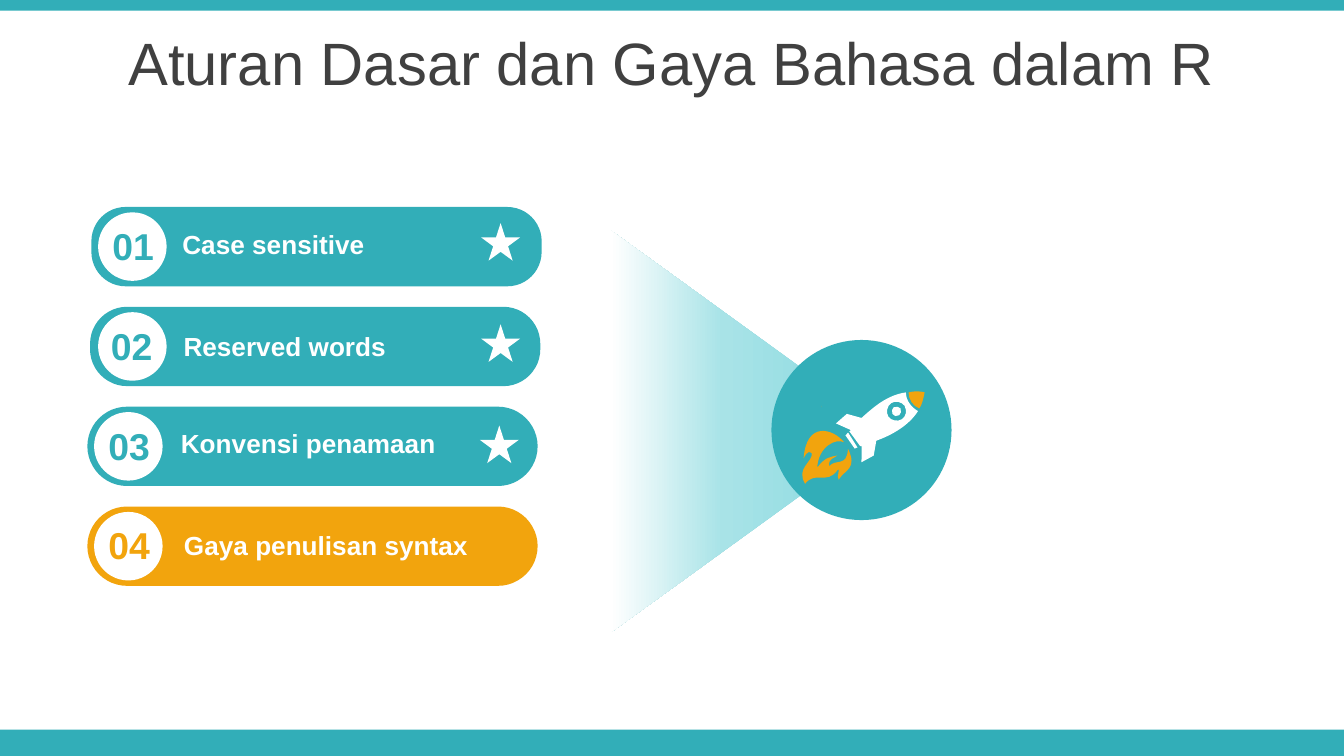
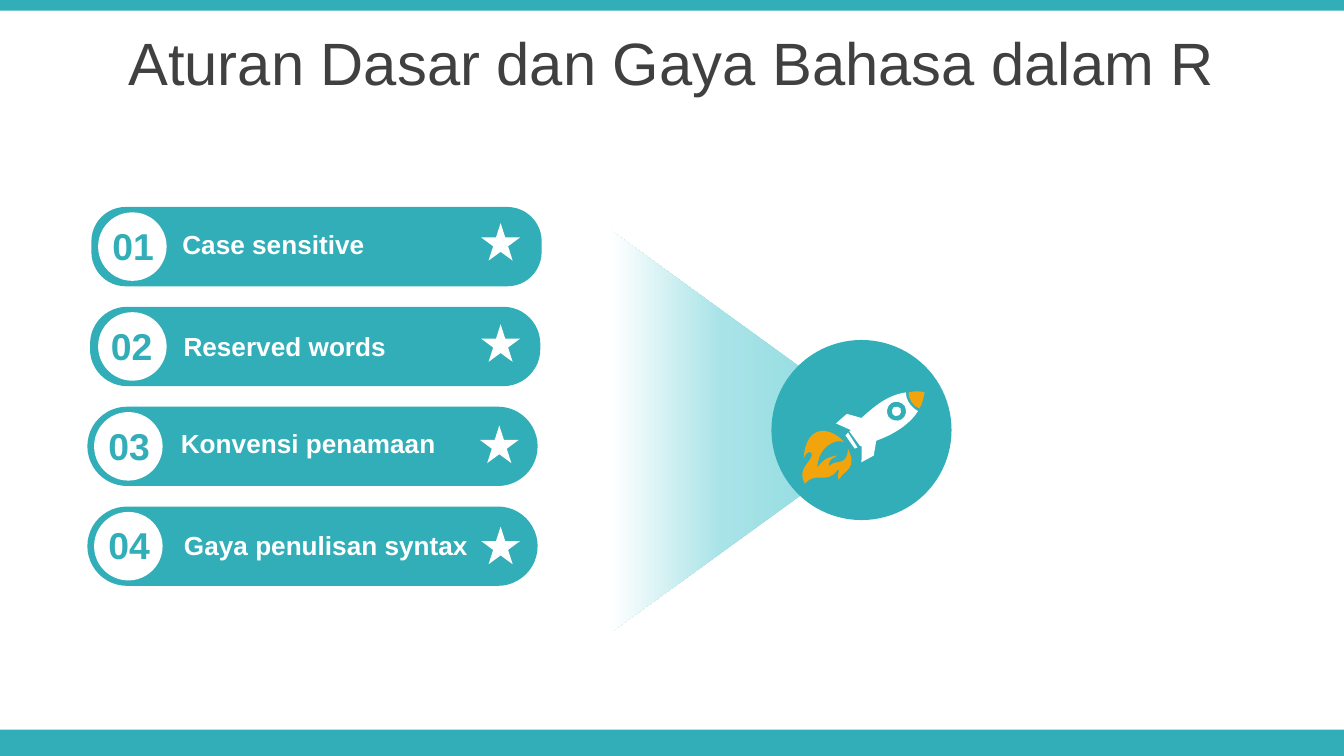
from copy import deepcopy
from math import cos, radians, sin

from pptx import Presentation
from pptx.dml.color import RGBColor
from pptx.enum import shapes, text
from pptx.oxml.ns import qn
from pptx.util import Inches, Pt

TEAL = RGBColor(0x32, 0xAE, 0xB8)
ORANGE = RGBColor(0xF2, 0xA4, 0x0D)
WHITE = RGBColor(0xFF, 0xFF, 0xFF)
DARK_GREY = RGBColor(0x40, 0x40, 0x40)
BEAM_STOPS = [
    (0, RGBColor(0x92, 0xDC, 0xE2)),
    (0.5, RGBColor(0xA8, 0xE3, 0xE7)),
    (1, WHITE),
]

FONT = "Arial"
TITLE = "Aturan Dasar dan Gaya Bahasa dalam R"
ROW_STEP = 0.743
STAR_STEP = 0.753
ROCKET_ANGLE = 56.9
UNITS = 1000  # outline units per inch

# label, label box, pill left, pill rotation, pill rounding, disc left, number left, star left
ROWS = [
    ("Case sensitive", (0.64, 1.65, 2.17, 0.34), 2.06, 90, 0.432, 0.73, 0.70, 3.58),
    ("Reserved words", (-0.54, 2.41, 3.51, 0.57), 2.05, 270, 0.466, 0.73, 0.69, 3.58),
    ("Konvensi penamaan", (0.75, 3.13, 2.59, 0.34), 2.03, 90, 0.5, 0.70, 0.67, 3.57),
    ("Gaya penulisan syntax", (0.99, 3.89, 2.59, 0.34), 2.03, 90, 0.5, 0.70, 0.67, 3.58),
]

# Each contour is a start point followed by lines (2 numbers) and Bézier curves (6 numbers).
ROCKET_BODY = [
    [(6.31, 3.22), (6.38, 3.33), (6.37, 3.33, 6.36, 3.34, 6.36, 3.34), (6.29, 3.24)],
    [(6.70, 3.04), (6.71, 3.06, 6.70, 3.08, 6.69, 3.09),
     (6.67, 3.10, 6.65, 3.10, 6.64, 3.08), (6.63, 3.06, 6.64, 3.04, 6.65, 3.03),
     (6.67, 3.02, 6.69, 3.03, 6.70, 3.04)],
    [(6.73, 3.02), (6.71, 2.99, 6.66, 2.98, 6.63, 3.00),
     (6.60, 3.02, 6.59, 3.07, 6.61, 3.10), (6.63, 3.13, 6.68, 3.14, 6.71, 3.12),
     (6.74, 3.10, 6.75, 3.06, 6.73, 3.02)],
    [(6.74, 2.92), (6.74, 2.98, 6.78, 3.03, 6.83, 3.06),
     (6.76, 3.17, 6.63, 3.24, 6.52, 3.28), (6.50, 3.39), (6.41, 3.44), (6.41, 3.32),
     (6.40, 3.32), (6.32, 3.21), (6.32, 3.21, 6.33, 3.20, 6.33, 3.20), (6.22, 3.15),
     (6.30, 3.08), (6.41, 3.11), (6.50, 3.03, 6.60, 2.94, 6.74, 2.92)],
]
ROCKET_NOSE = [
    [(6.88, 2.92), (6.87, 2.97, 6.86, 3.01, 6.84, 3.04),
     (6.79, 3.02, 6.76, 2.97, 6.76, 2.92), (6.80, 2.91, 6.84, 2.91, 6.88, 2.92)],
]
ROCKET_FLAME = [
    [(6.28, 3.29), (6.22, 3.26, 6.09, 3.32, 6.08, 3.48),
     (6.14, 3.40, 6.18, 3.40, 6.23, 3.39), (6.21, 3.41, 6.16, 3.41, 6.17, 3.47),
     (6.22, 3.41, 6.30, 3.48, 6.31, 3.34), (6.38, 3.49, 6.29, 3.49, 6.24, 3.57),
     (6.22, 3.55, 6.26, 3.47, 6.23, 3.50), (6.15, 3.61, 6.07, 3.50, 5.99, 3.60),
     (5.92, 3.48, 6.05, 3.44, 6.04, 3.37), (6.03, 3.36, 6.01, 3.35, 5.98, 3.41),
     (6.00, 3.13, 6.20, 3.19, 6.28, 3.29)],
    [(6.11, 3.02), (6.11, 3.03), (6.11, 3.03)],
]


def style_filled(shape, color):
    """Give the shape a plain fill, without line or shadow."""
    shape.shadow.inherit = False
    shape.line.fill.background()
    shape.fill.solid()
    shape.fill.fore_color.rgb = color
    return shape


def add_text(slide, box, content, size, color, align, bold=True):
    text_box = slide.shapes.add_textbox(*map(Inches, box))
    frame = text_box.text_frame
    frame.word_wrap = True
    paragraph = frame.paragraphs[0]
    paragraph.text = content
    paragraph.alignment = align
    paragraph.font.name = FONT
    paragraph.font.size = Pt(size)
    paragraph.font.bold = bold
    paragraph.font.color.rgb = color
    return frame


presentation = Presentation()
presentation.slide_width = Inches(10)
presentation.slide_height = Inches(5.625)
blank_layout = presentation.slide_layouts[6]
slides = [presentation.slides.add_slide(blank_layout) for _ in range(2)]

# The bands belong to the master, so that every slide shows them.
for top, height in [(5.43, 0.2), (0, 0.08)]:
    band = slides[0].shapes.add_shape(shapes.MSO_SHAPE.RECTANGLE, 0, Inches(top),
                                      Inches(10), Inches(height))
    style_filled(band, TEAL)
    presentation.slide_master.shapes._spTree.append(band._element)

cosine, sine = cos(radians(ROCKET_ANGLE)), sin(radians(ROCKET_ANGLE))

# The last topic is highlighted first, then starred like the others.
for slide, starred_rows, last_color in zip(slides, (3, 4), (ORANGE, TEAL)):
    beam = slide.shapes.add_shape(shapes.MSO_SHAPE.TRAPEZOID,
                                  *map(Inches, (3.88, 2.38, 2.99, 1.66)))
    style_filled(beam, TEAL)
    beam.rotation = 90
    beam.adjustments[0] = 0.722
    beam.fill.gradient()
    beam.fill.gradient_angle = 270
    stop_list = beam._element.spPr.find(".//" + qn("a:gsLst"))
    stop_list.append(deepcopy(stop_list[0]))
    for stop, (position, color) in zip(beam.fill.gradient_stops, BEAM_STOPS):
        stop.position = position
        stop.color.rgb = color

    title = add_text(slide, (0, 0.14, 10, 0.63), TITLE, 32, DARK_GREY,
                     text.PP_ALIGN.CENTER, bold=False)
    title.vertical_anchor = text.MSO_ANCHOR.MIDDLE

    disc = slide.shapes.add_shape(shapes.MSO_SHAPE.OVAL, *map(Inches, (5.74, 2.53, 1.34, 1.34)))
    style_filled(disc, TEAL)

    for contours, color in [(ROCKET_BODY, WHITE), (ROCKET_NOSE, ORANGE), (ROCKET_FLAME, ORANGE)]:
        builder = None
        for contour in contours:
            numbers = [number * UNITS for segment in contour for number in segment]
            # Upright coordinates: the rocket's rotation is undone here and set on the shape.
            points = [(x * cosine + y * sine, y * cosine - x * sine)
                      for x, y in zip(numbers[::2], numbers[1::2])]
            if builder is None:
                builder = slide.shapes.build_freeform(*points[0], scale=Inches(1) / UNITS)
            else:
                builder.move_to(*points[0])
            builder.add_line_segments(points[1:], close=True)
        part = style_filled(builder.convert_to_shape(), color)

        # Three points in a row become one curve wherever the contour asks for it.
        lines = iter(list(part._element.iter(qn("a:lnTo"))))
        for segment in (segment for contour in contours for segment in contour[1:]):
            line = next(lines)
            if len(segment) == 6:
                line.tag = qn("a:cubicBezTo")
                for extra in (next(lines), next(lines)):
                    line.append(extra[0])
                    extra.getparent().remove(extra)

        center_x, center_y = part.left + part.width / 2, part.top + part.height / 2
        part.left = int(center_x * cosine - center_y * sine - part.width / 2)
        part.top = int(center_x * sine + center_y * cosine - part.height / 2)
        part.rotation = ROCKET_ANGLE

    for index, row in enumerate(ROWS):
        label, label_box, pill_left, rotation, rounding, disc_left, number_left, star_left = row
        color = last_color if index == len(ROWS) - 1 else TEAL
        offset = index * ROW_STEP
        pill = slide.shapes.add_shape(shapes.MSO_SHAPE.ROUNDED_RECTANGLE,
                                      *map(Inches, (pill_left, 0.16 + offset, 0.59, 3.35)))
        style_filled(pill, color)
        pill.rotation = rotation
        pill.adjustments[0] = rounding
        badge = slide.shapes.add_shape(shapes.MSO_SHAPE.OVAL,
                                       *map(Inches, (disc_left, 1.58 + offset, 0.51, 0.51)))
        style_filled(badge, WHITE)
        number = add_text(slide, (number_left, 1.61 + offset, 0.58, 0.44), f"{index + 1:02}",
                          20, color, text.PP_ALIGN.CENTER)
        caption = add_text(slide, label_box, label, 14, WHITE, text.PP_ALIGN.RIGHT)
        for frame in (number, caption):
            frame.auto_size = text.MSO_AUTO_SIZE.SHAPE_TO_FIT_TEXT
        if index < starred_rows:
            star_box = (star_left, 1.66 + index * STAR_STEP, 0.29, 0.28)
            star = slide.shapes.add_shape(shapes.MSO_SHAPE.STAR_5_POINT, *map(Inches, star_box))
            style_filled(star, WHITE)

presentation.save("out.pptx")
